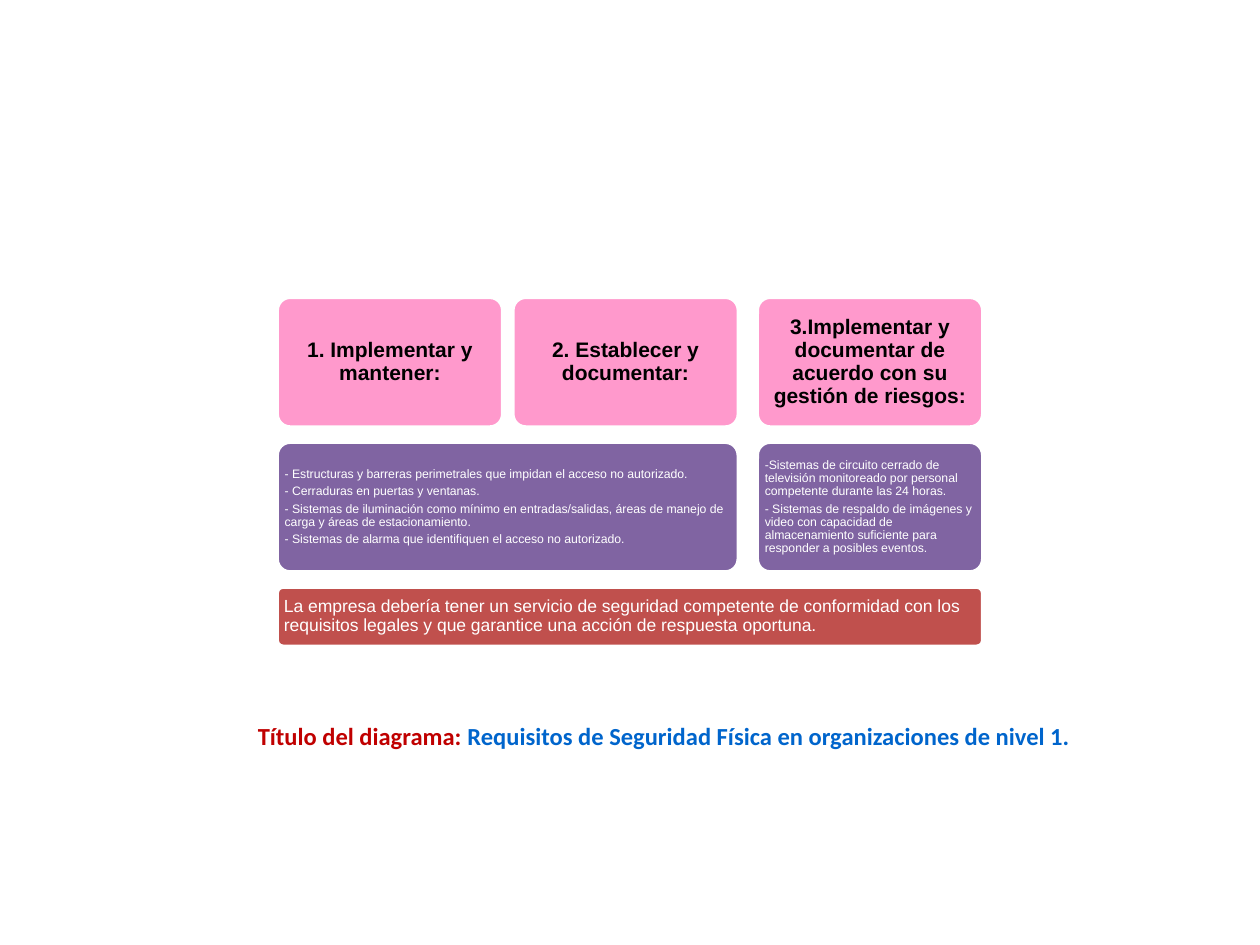
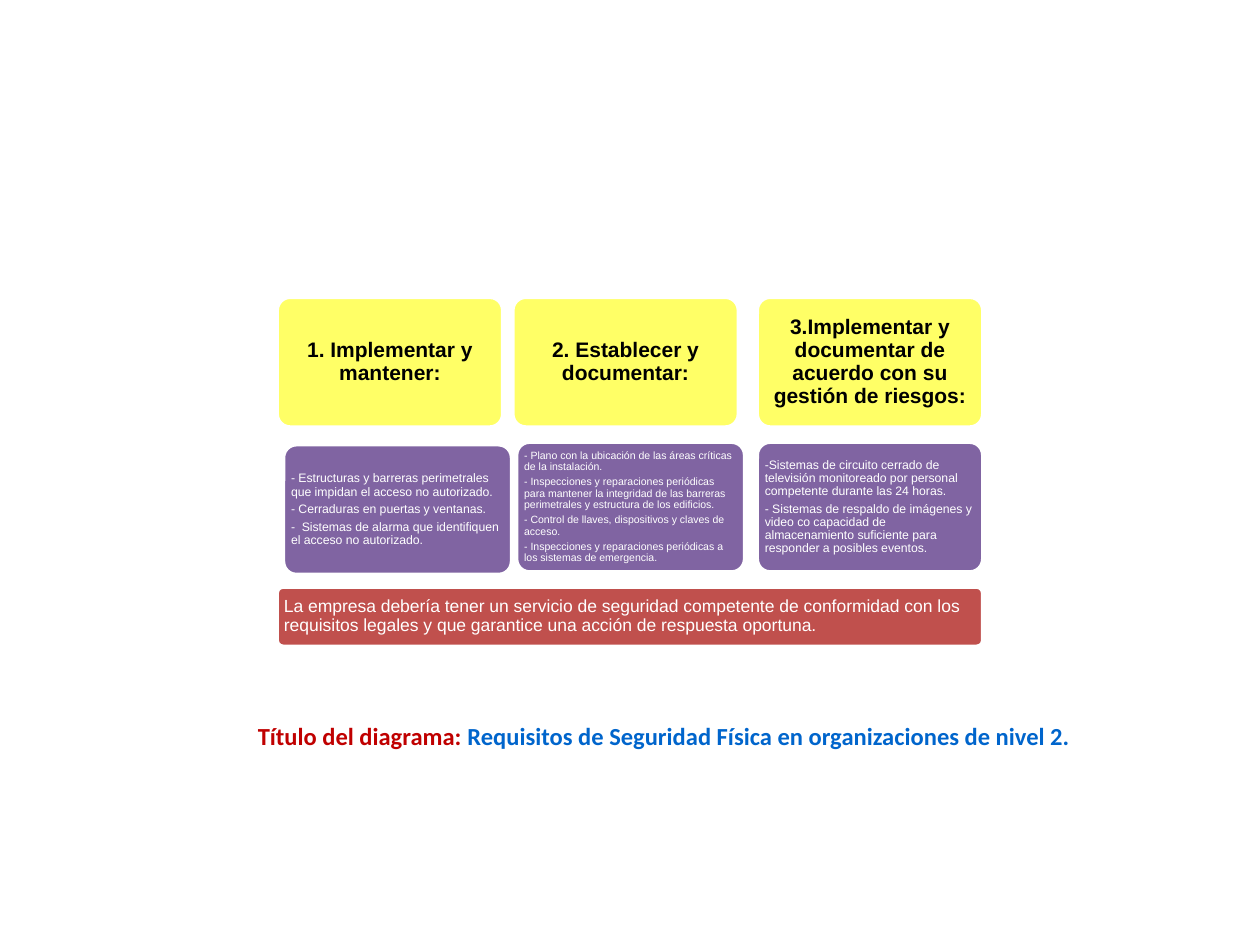
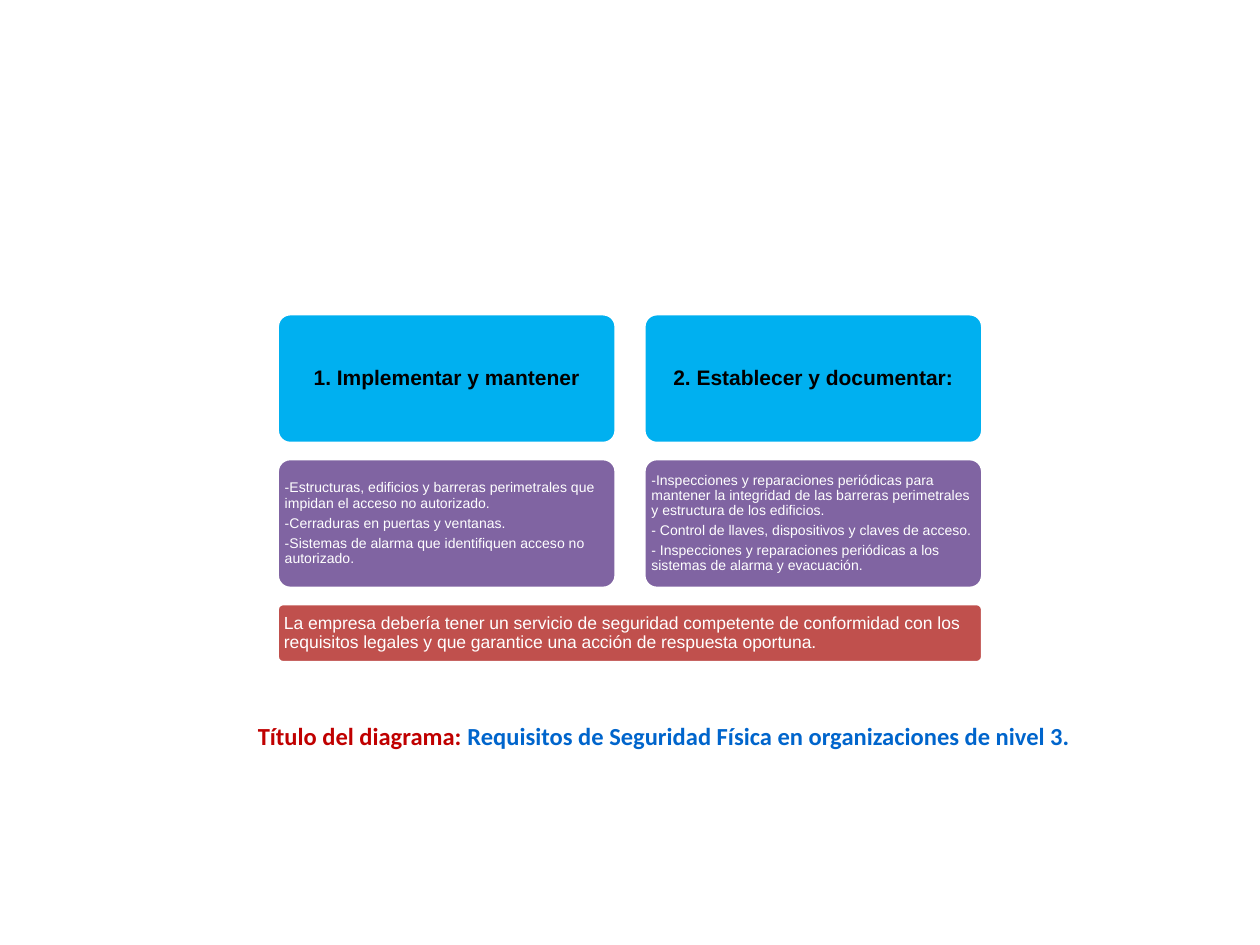
import pptx
import pptx.util
import pptx.dml.color
import pptx.enum.shapes
import pptx.enum.text

# Shared content
CAPTION_LABEL = "Título del diagrama: "
CAPTION = "Requisitos de Seguridad Física en organizaciones de nivel {}."
SERVICE = ("La empresa debería tener un servicio de seguridad competente de conformidad "
           "con los requisitos legales y que garantice una acción de respuesta oportuna.")
MAINTAIN = "1. Implementar y mantener:"
DOCUMENT = "2. Establecer y documentar:"
RISK = "3.Implementar y documentar de acuerdo con su gestión de riesgos:"
BARRIERS = "- Estructuras y barreras perimetrales que impidan el acceso no autorizado."
LOCKS = "- Cerraduras en puertas y ventanas."
KEYS = "- Control de llaves, dispositivos y claves de acceso."
CCTV = ("-Sistemas de circuito cerrado de televisión monitoreado por personal "
        "competente durante las 24 horas.")
BACKUP = ("- Sistemas de respaldo de imágenes y video {} capacidad de almacenamiento "
          "suficiente para responder a posibles eventos.")
INSPECTIONS = ("Inspecciones y reparaciones periódicas para mantener la integridad de "
               "las barreras perimetrales y estructura de los edificios.")

# Columns are (left, width) in inches
THREE_COLUMNS = [(2.2, 1.79), (4.07, 1.79), (6.01, 1.79)]
TWO_COLUMNS = [(2.2, 2.69), (5.11, 2.69)]

# One entry per level; each detail is (left, width, drop, size, lines)
LEVELS = [
    {"colour": "pink", "top": 2.36, "columns": THREE_COLUMNS,
     "headings": [MAINTAIN, DOCUMENT, RISK],
     "details": [
         (2.2, 3.66, 0, 7, [
             BARRIERS,
             LOCKS,
             "- Sistemas de iluminación como mínimo en entradas/salidas, áreas de manejo "
             "de carga y áreas de estacionamiento.",
             "- Sistemas de alarma que identifiquen el acceso no autorizado."]),
         (6.01, 1.79, 0, 7, [CCTV, BACKUP.format("con")])]},
    {"colour": "yellow", "top": 2.36, "columns": THREE_COLUMNS,
     "headings": [MAINTAIN, DOCUMENT, RISK],
     "details": [
         (2.25, 1.81, 0.02, 7, [
             BARRIERS,
             LOCKS,
             "-  Sistemas de alarma que identifiquen el acceso no autorizado."]),
         (4.1, 1.81, 0, 6, [
             "- Plano con la ubicación de las áreas críticas de la instalación.",
             "- " + INSPECTIONS,
             KEYS,
             "- Inspecciones y reparaciones periódicas a los sistemas de emergencia."]),
         (6.01, 1.79, 0, 7, [CCTV, BACKUP.format("co")])]},
    {"colour": "blue", "top": 2.49, "columns": TWO_COLUMNS,
     "headings": ["1. Implementar y mantener", DOCUMENT],
     "details": [
         (2.2, 2.69, 0, 8, [
             "-Estructuras, edificios y barreras perimetrales que impidan el acceso no "
             "autorizado.",
             "-Cerraduras en puertas y ventanas.",
             "-Sistemas de alarma que identifiquen acceso no autorizado."]),
         (5.11, 2.69, 0, 8, [
             "-" + INSPECTIONS,
             KEYS,
             "- Inspecciones y reparaciones periódicas a los sistemas de alarma y "
             "evacuación."])]},
]

# Shared look
COLOURS = {"pink": "FF99CC", "yellow": "FFFF66", "blue": "00B0F0", "purple": "8064A2",
           "red": "C0504D", "white": "FFFFFF", "black": "000000",
           "label": "C00000", "caption": "0065CC"}
BOX_HEIGHT, ROW_STEP = 1.03, 1.15
STRIP_LEFT, STRIP_WIDTH, STRIP_HEIGHT = 2.2, 5.6, 0.47
CAPTION_PLACE = (1.61, 5.67, 7.32, 0.34)

inches = pptx.util.Inches
ALIGN = pptx.enum.text.PP_ALIGN


def colour(name):
    return pptx.dml.color.RGBColor.from_string(COLOURS[name])


def add_box(slide, place, fill, lines, size, inset, heading=False):
    box = slide.shapes.add_shape(pptx.enum.shapes.MSO_SHAPE.ROUNDED_RECTANGLE,
                                 *map(inches, place))
    box.adjustments[0] = 0.1
    box.shadow.inherit = False
    box.fill.solid()
    box.fill.fore_color.rgb = colour(fill)
    box.line.color.rgb = colour("white")
    box.line.width = pptx.util.Pt(2)

    frame = box.text_frame
    frame.word_wrap = True
    frame.vertical_anchor = pptx.enum.text.MSO_ANCHOR.MIDDLE
    frame.margin_left = frame.margin_right = inches(inset)
    frame.margin_top = frame.margin_bottom = inches(inset)
    frame.text = "\n".join(lines)
    for paragraph in frame.paragraphs:
        paragraph.alignment = ALIGN.CENTER if heading else ALIGN.LEFT
        paragraph.line_spacing = 0.9
        paragraph.space_after = pptx.util.Pt(0.35 * size)
        paragraph.font.name = "Arial"
        paragraph.font.size = pptx.util.Pt(size)
        paragraph.font.bold = heading
        paragraph.font.color.rgb = colour("black" if heading else "white")


def add_caption(slide, number):
    caption = slide.shapes.title
    caption.left, caption.top, caption.width, caption.height = map(inches, CAPTION_PLACE)
    frame = caption.text_frame
    frame.word_wrap = True
    frame.auto_size = pptx.enum.text.MSO_AUTO_SIZE.SHAPE_TO_FIT_TEXT
    frame.vertical_anchor = pptx.enum.text.MSO_ANCHOR.TOP
    paragraph = frame.paragraphs[0]
    paragraph.alignment = ALIGN.CENTER
    paragraph.font.name = "Calibri"
    paragraph.font.size = pptx.util.Pt(14)
    paragraph.font.bold = True
    for words, tint in ((CAPTION_LABEL, "label"), (CAPTION.format(number), "caption")):
        run = paragraph.add_run()
        run.text = words
        run.font.color.rgb = colour(tint)


def build_level(slide, number, level):
    top = level["top"]
    # Service strip under both rows
    add_box(slide, (STRIP_LEFT, top + 2 * ROW_STEP, STRIP_WIDTH, STRIP_HEIGHT),
            "red", [SERVICE], 10, 0.04)
    # Headings
    for (left, width), heading in zip(level["columns"], level["headings"]):
        add_box(slide, (left, top, width, BOX_HEIGHT), level["colour"],
                [heading], 12, 0.05, heading=True)
    # Details
    for left, width, drop, size, lines in level["details"]:
        add_box(slide, (left, top + ROW_STEP + drop, width, BOX_HEIGHT), "purple",
                lines, size, 0.03)
    add_caption(slide, number)


def main():
    deck = pptx.Presentation()
    deck.slide_width, deck.slide_height = inches(10), inches(7.5)
    title_only = deck.slide_layouts[5]
    for number, level in enumerate(LEVELS, start=1):
        build_level(deck.slides.add_slide(title_only), number, level)
    deck.save("out.pptx")


if __name__ == "__main__":
    main()
